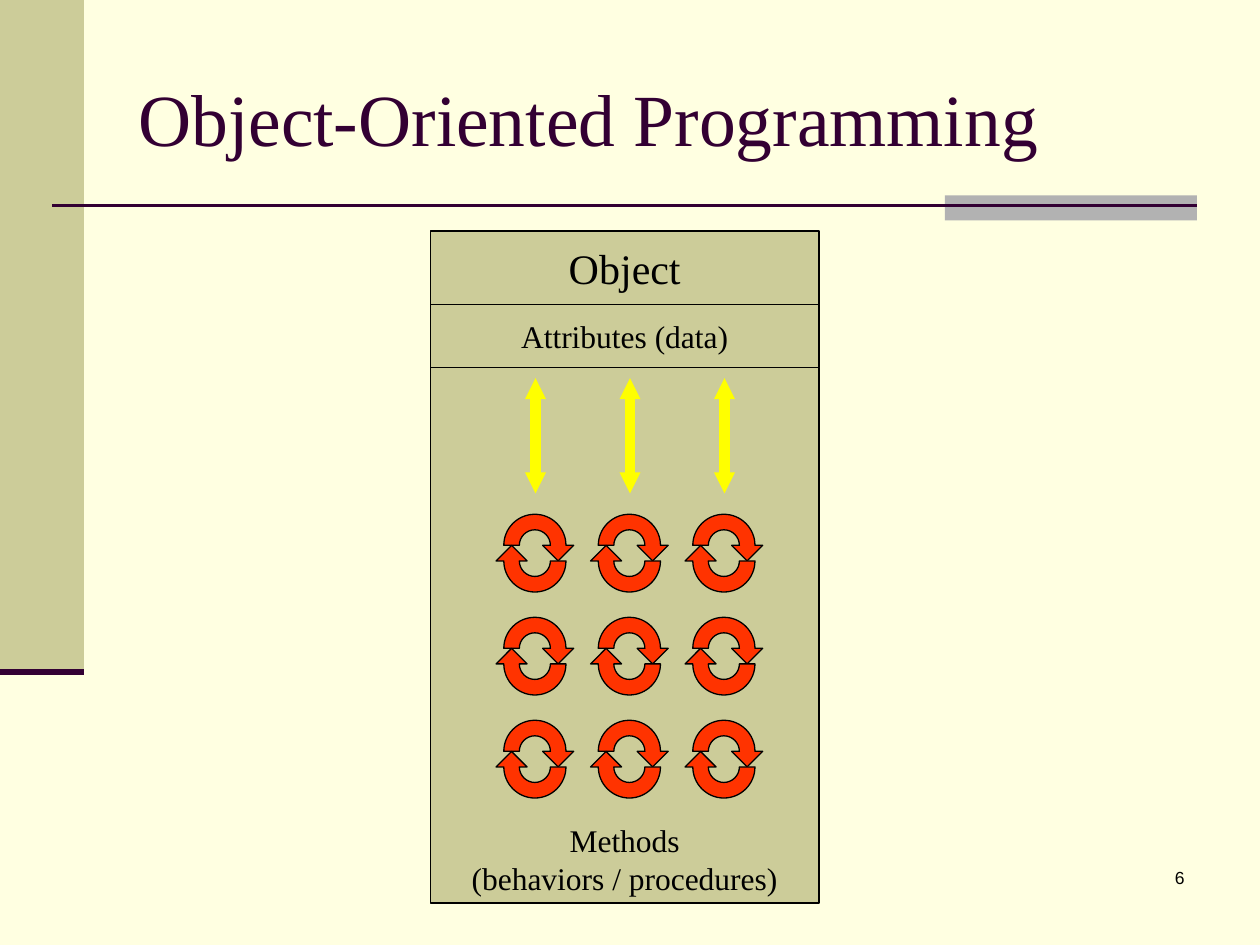
from dataclasses import dataclass

from lxml import etree
from pptx import Presentation
from pptx.dml.color import RGBColor
from pptx.enum.shapes import MSO_CONNECTOR, MSO_SHAPE
from pptx.enum.text import MSO_ANCHOR, PP_ALIGN
from pptx.oxml.ns import qn
from pptx.util import Inches, Pt

RECT = MSO_SHAPE.RECTANGLE
STRAIGHT = MSO_CONNECTOR.STRAIGHT
LEFT, CENTER, RIGHT = PP_ALIGN.LEFT, PP_ALIGN.CENTER, PP_ALIGN.RIGHT
TOP, MIDDLE, BOTTOM = MSO_ANCHOR.TOP, MSO_ANCHOR.MIDDLE, MSO_ANCHOR.BOTTOM


@dataclass(frozen=True)
class Theme:
    """Colours, fonts and type sizes of the slide."""
    background: str = "FFFFE1"
    panel: str = "CCCC99"
    accent: str = "B2B2B2"
    dark: str = "330033"
    ink: str = "000000"
    cycle: str = "FF3300"
    flow: str = "FFFF00"
    serif: str = "Times New Roman"
    sans: str = "Arial"
    title: int = 42
    heading: int = 24
    body: int = 18
    number: int = 10


THEME = Theme()


def grid(n):
    """Return the length of n cells on a grid of 120 columns by 90 rows."""
    return Inches(n / 12)


def rgb(value):
    """Return a colour from its hex value."""
    return RGBColor.from_string(value)


def write(s, text, size, color=THEME.ink, font=THEME.serif, align=LEFT,
          anchor=TOP, wrap=True):
    """Put formatted text into a shape."""
    tf = s.text_frame
    tf.word_wrap = wrap
    tf.vertical_anchor = anchor
    p = tf.paragraphs[0]
    p.text = text
    p.alignment = align
    for r in p.runs:
        r.font.size = Pt(size)
        r.font.name = font
        r.font.color.rgb = rgb(color)


def paint(s, fill, outlined):
    """Give a shape its fill and an optional thin outline."""
    s.shadow.inherit = False
    s.fill.solid()
    s.fill.fore_color.rgb = rgb(fill)
    if outlined:
        s.line.color.rgb = rgb(THEME.ink)
        s.line.width = Pt(0.75)
    else:
        s.line.fill.background()


def add_box(shapes, cells, fill, outlined=False):
    """Add a filled rectangle at left, top, width, height in cells."""
    s = shapes.add_shape(RECT, *map(grid, cells))
    paint(s, fill, outlined)
    return s


def add_label(shapes, cells, text, size, **style):
    """Add a text box at left, top, width, height in cells."""
    write(shapes.add_textbox(*map(grid, cells)), text, size, **style)


def add_line(shapes, cells, color, width, arrows=False):
    """Add a line between two grid points, with optional heads at both ends."""
    s = shapes.add_connector(STRAIGHT, *map(grid, cells))
    s.line.color.rgb = rgb(color)
    s.line.width = Pt(width)
    if arrows:
        ln = s.line._get_or_add_ln()
        for end in ("a:headEnd", "a:tailEnd"):
            etree.SubElement(ln, qn(end), type="triangle", w="sm", len="sm")
    etree.SubElement(s._element.spPr, qn("a:effectLst"))


def half_ring(r, side):
    """Return two curves over the top of a circle, starting at the given side."""
    k, x = 0.55 * r, side * r
    return [("cubicBezTo", [(x, -k), (side * k, -r), (0, -r)]),
            ("cubicBezTo", [(-side * k, -r), (-x, -k), (-x, 0)])]


def add_cycle_arrow(shapes, cx, cy, band, turn):
    """Add a half-ring arrow around a grid point; turn -1 points it backwards."""
    radius = 4 * band
    left, top = grid(cx - radius), grid(cy - radius)
    right, bottom = grid(cx + radius), grid(cy + radius)
    builder = shapes.build_freeform(left, top)
    builder.add_line_segments([(right, top), (right, bottom), (left, bottom)])
    s = builder.convert_to_shape()
    path = s._element.spPr.find(".//" + qn("a:path"))
    for child in list(path):
        path.remove(child)
    outline = [("moveTo", [(2, 0)]), *half_ring(2, 1), ("lnTo", [(-4, 0)]),
               *half_ring(4, -1)]
    outline += [("lnTo", [point]) for point in ((5, 0), (3, 2), (1, 0))]
    for command, points in outline:
        step = etree.SubElement(path, qn("a:" + command))
        for x, y in points:
            etree.SubElement(step, qn("a:pt"),
                             x=str(int(grid(radius + turn * band * x))),
                             y=str(int(grid(radius + turn * band * y))))
    etree.SubElement(path, qn("a:close"))
    paint(s, THEME.cycle, True)


def add_cycle(shapes, cx, cy, band=0.74):
    """Add two half-ring arrows that circle around a grid point."""
    for turn in (1, -1):
        add_cycle_arrow(shapes, cx, cy - turn * band, band, turn)


def add_frame(shapes):
    """Add the side bar, rules, title and slide number."""
    add_box(shapes, (0, 0, 8, 64), THEME.panel)
    add_box(shapes, (90, 18.6, 24, 2.4), THEME.accent)
    add_line(shapes, (5, 19.56, 114, 19.56), THEME.dark, 1.5)
    add_line(shapes, (0, 64, 8, 64), THEME.dark, 3.5)
    add_label(shapes, (89, 82, 25, 6), "6", THEME.number, font=THEME.sans, align=RIGHT)
    add_label(shapes, (12, 3.65, 102, 15), "Object-Oriented Programming",
              THEME.title, color=THEME.dark, anchor=MIDDLE)


def add_object(shapes):
    """Add the object panel with its data arrows and method cycles."""
    top = 22
    for text, height, size, anchor in (
        ("Object", 7, THEME.heading, MIDDLE),
        ("Attributes (data)", 6, THEME.body, MIDDLE),
        ("Methods\n(behaviors / procedures)", 51, THEME.body, BOTTOM),
    ):
        s = add_box(shapes, (41, top, 37, height), THEME.panel, outlined=True)
        write(s, text, size, align=CENTER, anchor=anchor, wrap=False)
        top += height
    for row in range(3):
        for col in range(3):
            add_cycle(shapes, 50.94 + 9 * col, 52.68 + 9.81 * row)
    for col in range(3):
        x = 51 + 9 * col
        add_line(shapes, (x, 47, x, 36), THEME.flow, 6, arrows=True)


def main():
    """Build the slide and save it."""
    prs = Presentation()
    prs.slide_width, prs.slide_height = grid(120), grid(90)
    slide = prs.slides.add_slide(prs.slide_layouts[6])
    slide.background.fill.solid()
    slide.background.fill.fore_color.rgb = rgb(THEME.background)
    add_frame(slide.shapes)
    add_object(slide.shapes)
    prs.save("out.pptx")


if __name__ == "__main__":
    main()
